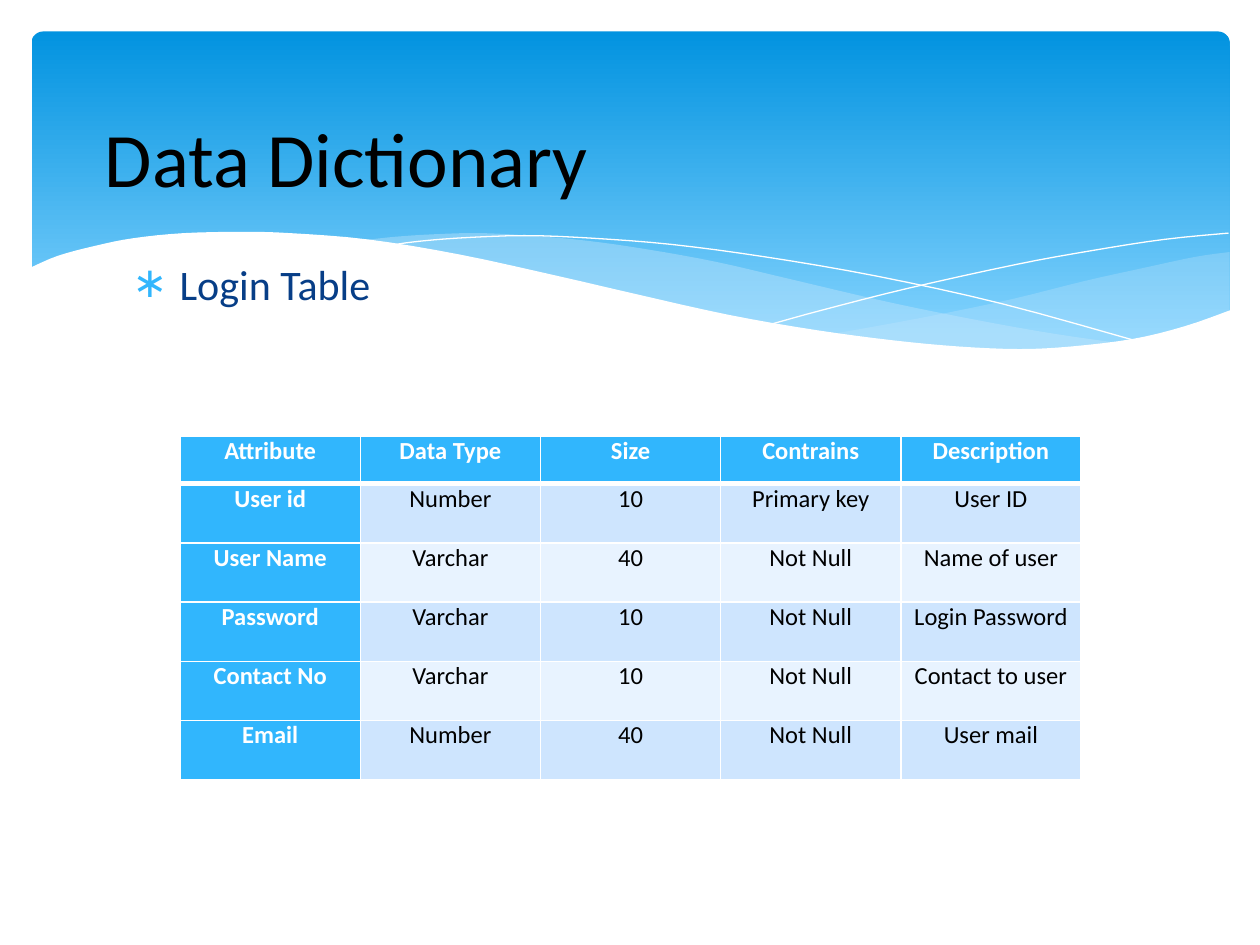
from dataclasses import dataclass

from lxml import etree
from pptx import Presentation
from pptx import util as u
from pptx.dml.color import RGBColor
from pptx.enum import shapes, text
from pptx.oxml import ns


@dataclass(frozen=True)
class Theme:
    font: str = "Calibri"
    title_size: int = 44
    body_size: int = 24
    cell_size: int = 14
    black: str = "000000"
    white: str = "FFFFFF"
    navy: str = "073E87"
    accent: str = "31B6FD"
    band_dark: str = "CEE5FE"
    band_light: str = "E8F3FF"
    sky_top: str = "0293E0"
    sky_bottom: str = "83D3FE"
    mist: str = "C6E7FC"


THEME = Theme()

RIGHT_TOP = [(9.76, 2), (9.48, 2.04), (9.06, 2.13), (8.61, 2.23), (8.05, 2.37),
             (7.53, 2.48), (7.06, 2.57), (6.61, 2.65)]
RIGHT_BOTTOM = [(6.61, 2.65), (7.05, 2.71), (7.45, 2.75), (7.81, 2.77), (8.14, 2.78),
                (8.54, 2.76), (8.89, 2.72), (9.21, 2.65), (9.49, 2.57), (9.76, 2.47)]
MIDDLE_TOP = [(8.93, 2.73), (8.37, 2.65), (7.75, 2.54), (7.06, 2.4), (6.29, 2.22),
              (5.69, 2.08), (5.14, 1.98), (4.65, 1.91), (4.2, 1.87), (3.8, 1.85),
              (3.44, 1.86), (3.13, 1.88), (2.86, 1.91)]
MIDDLE_BOTTOM = [(2.86, 1.91), (3.42, 1.99), (4.04, 2.11), (4.49, 2.22), (5.3, 2.4),
                 (6.01, 2.55), (6.65, 2.66), (7.22, 2.74), (7.73, 2.77), (8.18, 2.78),
                 (8.57, 2.77), (8.93, 2.73)]
FALLING_LINE = [(3.09, 1.95), (3.28, 1.92), (3.63, 1.89), (4.16, 1.87), (4.69, 1.89),
                (5.33, 1.94), (6.08, 2.04), (6.95, 2.19), (7.95, 2.41), (9.07, 2.72)]
RISING_LINE = [(6.13, 2.57), (6.53, 2.46), (7.2, 2.29), (8.06, 2.1), (8.66, 1.99),
               (9.24, 1.9), (9.75, 1.85)]
FRONT_TOP = [(9.77, 2.46), (9.4, 2.59), (8.99, 2.69), (8.5, 2.75), (8.09, 2.77),
             (7.61, 2.75), (7.08, 2.7), (6.48, 2.62), (5.79, 2.5), (5.03, 2.33),
             (4.47, 2.2), (3.65, 2.02), (2.92, 1.9), (2.3, 1.85), (1.93, 1.84),
             (1.46, 1.85), (1.06, 1.89), (0.76, 1.95), (0.46, 2.03), (0.23, 2.13)]
FRONT_BOTTOM = [(0.23, 3.29), (9.77, 3.29)]

ROWS = [
    ("Attribute", "Data Type", "Size", "Contrains", "Description"),
    ("User id", "Number", "10", "Primary key", "User ID"),
    ("User Name", "Varchar", "40", "Not Null", "Name of user"),
    ("Password", "Varchar", "10", "Not Null", "Login Password"),
    ("Contact No", "Varchar", "10", "Not Null", "Contact to user"),
    ("Email", "Number", "40", "Not Null", "User mail"),
]


def rgb(value):
    return RGBColor.from_string(value)


def add_node(parent, tag, **attributes):
    return etree.SubElement(parent, ns.qn(tag), attributes)


def place(shape, left, top, width, height):
    shape.left, shape.top = u.Inches(left), u.Inches(top)
    shape.width, shape.height = u.Inches(width), u.Inches(height)


def style_text(para, size, color, bold=False):
    for span in para.runs:
        span.font.name = THEME.font
        span.font.size = u.Pt(size)
        span.font.bold = bold
        span.font.color.rgb = rgb(color)


def smooth(knots, steps=4):
    padded = [knots[0], *knots, knots[-1]]
    curve = [knots[0]]
    for a, b, c, d in zip(padded, padded[1:], padded[2:], padded[3:]):
        for step in range(1, steps + 1):
            t = step / steps
            curve.append(tuple(
                (2 * q + (r - p) * t + (2 * p - 5 * q + 4 * r - s) * t ** 2
                 + (3 * q - p - 3 * r + s) * t ** 3) / 2
                for p, q, r, s in zip(a, b, c, d)))
    return curve


def add_outline(page, points, closed):
    points = [(u.Inches(x), u.Inches(y)) for x, y in points]
    builder = page.shapes.build_freeform(*points[0])
    builder.add_line_segments(points[1:], close=closed)
    shape = builder.convert_to_shape()
    shape.shadow.inherit = False
    return shape


def add_wave(page, points, color, opacity=100):
    wave = add_outline(page, points, True)
    wave.fill.solid()
    wave.fill.fore_color.rgb = rgb(color)
    wave.line.fill.background()
    if opacity < 100:
        tint = wave.fill._xPr.find(".//" + ns.qn("a:srgbClr"))
        add_node(tint, "a:alpha", val=str(opacity * 1000))


def add_hairline(page, knots):
    hairline = add_outline(page, smooth(knots), False)
    hairline.fill.background()
    hairline.line.color.rgb = rgb(THEME.white)
    hairline.line.width = u.Pt(0)


def add_sky(page):
    sky = page.shapes.add_shape(
        shapes.MSO_SHAPE.ROUNDED_RECTANGLE,
        u.Inches(0.25), u.Inches(0.25), u.Inches(9.51), u.Inches(2.7))
    sky.adjustments[0] = 0.034
    sky.shadow.inherit = False
    sky.line.fill.background()
    sky.fill.gradient()
    sky.fill.gradient_angle = 270
    stops = [(0, THEME.sky_top), (0.9, THEME.sky_bottom)]
    for stop, (position, color) in zip(sky.fill.gradient_stops, stops):
        stop.position = position
        stop.color.rgb = rgb(color)


def add_banner(page):
    add_sky(page)
    add_wave(page, smooth(RIGHT_TOP) + smooth(RIGHT_BOTTOM), THEME.mist, 29)
    add_wave(page, smooth(MIDDLE_TOP) + smooth(MIDDLE_BOTTOM), THEME.mist, 40)
    add_hairline(page, FALLING_LINE)
    add_hairline(page, RISING_LINE)
    add_wave(page, smooth(FRONT_TOP) + FRONT_BOTTOM, THEME.white)


def fill_body(page, wording):
    body = page.placeholders[1]
    page.shapes._spTree.append(body._element)
    place(body, 0.95, 2, 8.1, 4.7)
    para = body.text_frame.paragraphs[0]
    para.text = wording
    style_text(para, THEME.body_size, THEME.navy)
    settings = para._p.get_or_add_pPr()
    settings.set("marL", str(u.Inches(0.3)))
    settings.set("indent", str(u.Inches(-0.3)))
    add_node(add_node(settings, "a:buClr"), "a:srgbClr", val=THEME.accent)
    add_node(settings, "a:buFont", typeface=THEME.font)
    add_node(settings, "a:buChar", char="\u2217")


def fill_title(page, wording):
    title = page.shapes.title
    page.shapes._spTree.append(title._element)
    place(title, 0.5, 0.75, 4.5, 0.99)
    title.text_frame.vertical_anchor = text.MSO_ANCHOR.MIDDLE
    para = title.text_frame.paragraphs[0]
    para.text = wording
    para.alignment = text.PP_ALIGN.CENTER
    style_text(para, THEME.title_size, THEME.black)


def add_borders(cell, top, bottom):
    settings = cell._tc.get_or_add_tcPr()
    for side, points in (("L", 1), ("R", 1), ("T", top), ("B", bottom)):
        border = add_node(settings, "a:ln" + side, w=str(u.Pt(points)))
        add_node(add_node(border, "a:solidFill"), "a:srgbClr", val=THEME.white)


def fill_cell(cell, wording, row, column):
    heading = row == 0 or column == 0
    band = THEME.band_dark if row % 2 else THEME.band_light
    cell.margin_left = cell.margin_right = u.Inches(0.07)
    cell.margin_top = cell.margin_bottom = 0
    add_borders(cell, 3 if row == 1 else 1, 3 if row == 0 else 1)
    cell.fill.solid()
    cell.fill.fore_color.rgb = rgb(THEME.accent if heading else band)
    cell.text = wording
    para = cell.text_frame.paragraphs[0]
    para.alignment = text.PP_ALIGN.CENTER
    style_text(para, THEME.cell_size, THEME.white if heading else THEME.black, heading)


def add_dictionary(page):
    frame = page.shapes.add_table(
        len(ROWS), len(ROWS[0]),
        u.Inches(1.43), u.Inches(3.46), u.Inches(7.16), u.Inches(2.75))
    table = frame.table
    for column in table.columns:
        column.width = u.Inches(1.43)
    for row, values in enumerate(ROWS):
        table.rows[row].height = u.Inches(0.47 if row else 0.38)
        for column, wording in enumerate(values):
            fill_cell(table.cell(row, column), wording, row, column)


def main():
    deck = Presentation()
    deck.slide_width, deck.slide_height = u.Inches(10), u.Inches(7.5)
    page = deck.slides.add_slide(deck.slide_layouts[1])
    add_banner(page)
    fill_body(page, " Login Table")
    fill_title(page, "Data Dictionary")
    add_dictionary(page)
    deck.save("out.pptx")


main()
